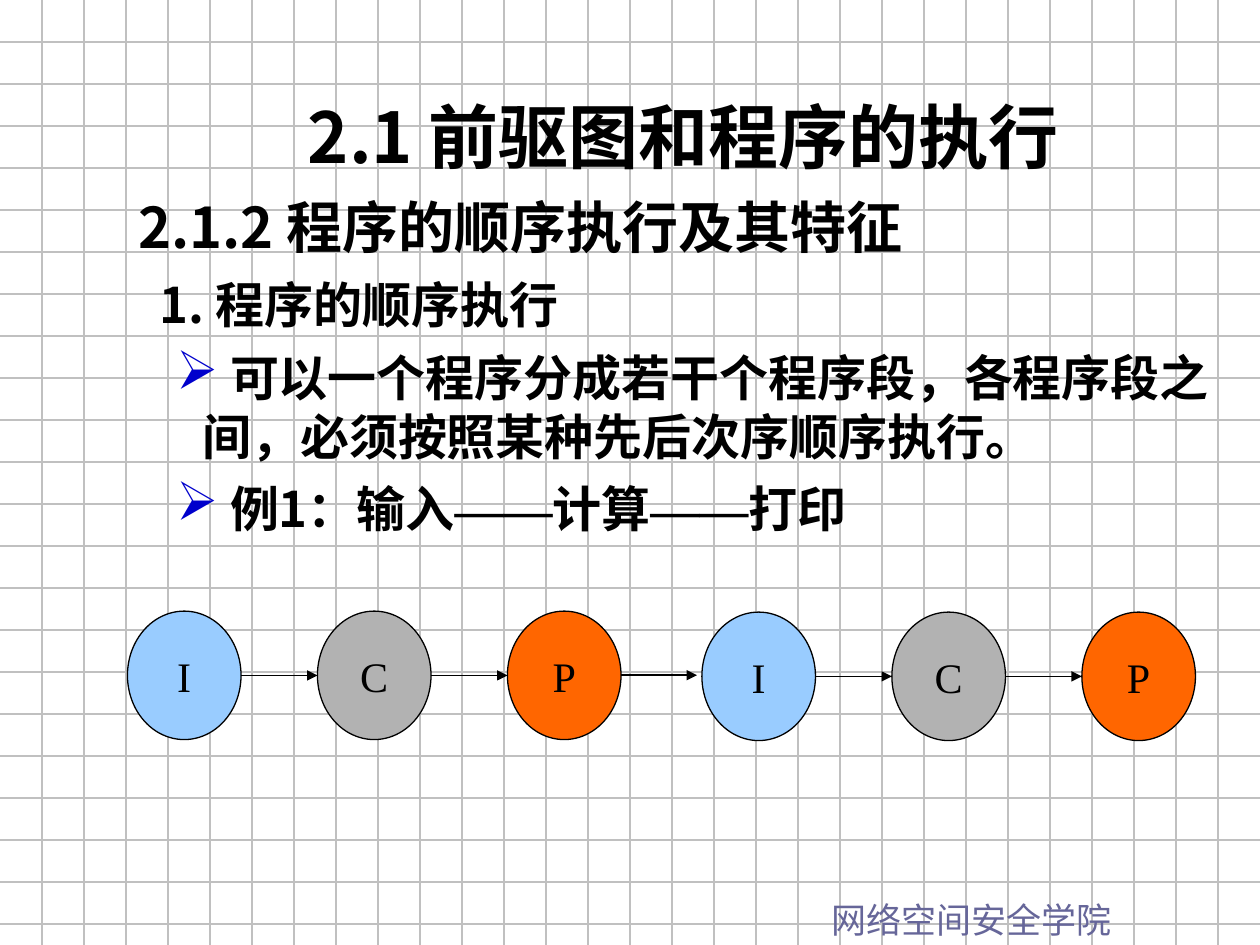
import pptx
import pptx.dml.color
import pptx.enum.shapes
import pptx.enum.text
import pptx.oxml.ns
import pptx.util
from lxml import etree

Cm = pptx.util.Cm
Pt = pptx.util.Pt
color = pptx.dml.color.RGBColor.from_string
qn = pptx.oxml.ns.qn
CENTER = pptx.enum.text.PP_ALIGN.CENTER
JP_FONT = "Noto Sans CJK JP"
SC_FONT = "Noto Sans CJK SC"
LATIN_FONT = "Times New Roman"

presentation = pptx.Presentation()
presentation.slide_width = Cm(25.4)
presentation.slide_height = Cm(19.05)
slide = presentation.slides.add_slide(presentation.slide_layouts[6])
slide.background.fill.solid()
slide.background.fill.fore_color.rgb = color("FFFFFF")


def write(paragraph, text, size=28, font=SC_FONT, ink="000000", bold=False,
          align=None, spacing=None, before=0):
    """Append a formatted run and set the paragraph's layout."""
    run = paragraph.add_run()
    run.text = text
    run.font.size = Pt(size)
    run.font.name = font
    run.font.bold = bold
    run.font.color.rgb = color(ink)
    east_asian = etree.Element(qn("a:ea"), typeface=font)
    run.font._element.find(qn("a:latin")).addnext(east_asian)
    if align is not None:
        paragraph.alignment = align
    if spacing:
        paragraph.line_spacing = Pt(spacing)
    if before:
        paragraph.space_before = Pt(before)


def draw_line(x1, y1, x2, y2, ink="000000", arrow=False):
    """Draw a thin straight line; lengths are in centimetres."""
    line = slide.shapes.add_connector(
        pptx.enum.shapes.MSO_CONNECTOR.STRAIGHT, Cm(x1), Cm(y1), Cm(x2), Cm(y2))
    line.line.color.rgb = color(ink)
    line.line.width = Pt(0.75)
    if arrow:
        etree.SubElement(line.line._get_or_add_ln(), qn("a:tailEnd"), type="triangle")
    etree.SubElement(line._element.spPr, qn("a:effectLst"))


# Background grid, three squares to the inch
square = 2.54 / 3
for row in range(1, 23):
    draw_line(0, row * square, 25.4, row * square, ink="C0C0C0")
for column in range(1, 30):
    draw_line(column * square, 0, column * square, 19.05, ink="C0C0C0")

# Text boxes: left, top, width, height
boxes = {
    "footer": (16.51, 17.96, 8.89, 1.12),
    "headings": (2.54, 3.38, 21.79, 3.3),
    "points": (3.3, 6.86, 21.59, 4.06),
    "title": (3.61, 1.7, 20.32, 1.96),
}
frames = {}
for name, bounds in boxes.items():
    frames[name] = slide.shapes.add_textbox(*map(Cm, bounds)).text_frame
    frames[name].word_wrap = True

write(frames["footer"].paragraphs[0], "网络空间安全学院",
      size=20, font=JP_FONT, ink="666699", spacing=25)
write(frames["title"].paragraphs[0], "2.1 前驱图和程序的执行",
      size=40, font=JP_FONT, bold=True, align=CENTER, spacing=50)

# Section headings
write(frames["headings"].paragraphs[0], "2.1.2 程序的顺序执行及其特征",
      size=32, bold=True, spacing=49)
subheading = frames["headings"].add_paragraph()
subheading._p.get_or_add_pPr().set("marL", str(Cm(0.43)))
write(subheading, "1. 程序的顺序执行", bold=True, spacing=42)

# Bulleted points, each a list of (text, font) runs
points = [
    [(" 可以一个程序分成若干个程序段，各程序段之间，必须按照某种先后次序顺序执行。", SC_FONT)],
    [(" 例1：输入", SC_FONT), ("——", LATIN_FONT), ("计算", SC_FONT),
     ("——", LATIN_FONT), ("打印", SC_FONT)],
]
for index, runs in enumerate(points):
    paragraph = frames["points"].add_paragraph() if index else frames["points"].paragraphs[0]
    properties = paragraph._p.get_or_add_pPr()
    properties.set("marL", str(Cm(0.53)))
    properties.set("indent", str(-Cm(0.53)))
    bullet_color = etree.SubElement(properties, qn("a:buClr"))
    etree.SubElement(bullet_color, qn("a:srgbClr"), val="0000CC")
    etree.SubElement(properties, qn("a:buSzPct"), val="110000")
    etree.SubElement(properties, qn("a:buChar"), char="➢")
    for text, font in runs:
        write(paragraph, text, font=font, bold=True, spacing=34, before=7 * index)

# Two rounds of input, compute, print
steps = [("I", "99CCFF"), ("C", "B2B2B2"), ("P", "FF6600")]
width, height, pitch = 2.29, 2.59, 3.83
rounds = [(2.57, 12.32), (14.15, 12.34)]
for left, top in rounds:
    for index, (letter, fill) in enumerate(steps):
        x = left + index * pitch
        shape = slide.shapes.add_shape(pptx.enum.shapes.MSO_SHAPE.OVAL,
                                       Cm(x), Cm(top), Cm(width), Cm(height))
        shape.shadow.inherit = False
        shape.fill.solid()
        shape.fill.fore_color.rgb = color(fill)
        shape.line.color.rgb = color("000000")
        shape.line.width = Pt(0.75)
        shape.text_frame.word_wrap = False
        shape.text_frame.vertical_anchor = pptx.enum.text.MSO_ANCHOR.MIDDLE
        write(shape.text_frame.paragraphs[0], letter, size=24, font=LATIN_FONT, align=CENTER)
        if index < len(steps) - 1:
            middle = top + height / 2
            draw_line(x + width, middle, x + pitch, middle, arrow=True)

# Arrow from the first round to the second
draw_line(12.52, 13.61, 14.05, 13.61, arrow=True)

presentation.save("out.pptx")
